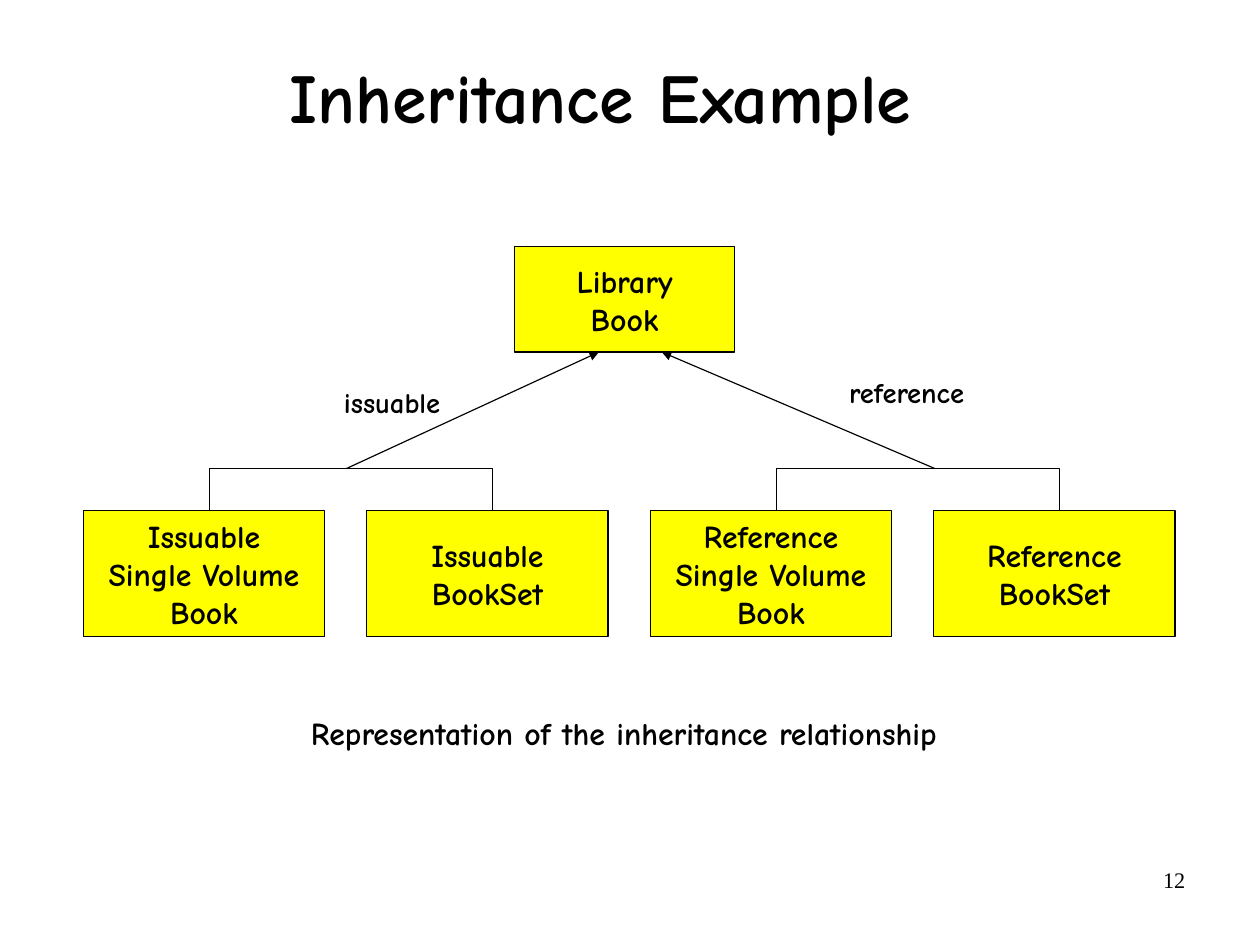
"""Build the inheritance example slide."""
from lxml import etree
from pptx import Presentation
from pptx.dml.color import RGBColor
from pptx.enum.shapes import MSO_CONNECTOR, MSO_SHAPE
from pptx.enum.text import MSO_ANCHOR, PP_ALIGN
from pptx.oxml.ns import qn
from pptx.util import Cm, Inches, Pt

LEFT, CENTER, RIGHT = PP_ALIGN.LEFT, PP_ALIGN.CENTER, PP_ALIGN.RIGHT
TOP, MIDDLE = MSO_ANCHOR.TOP, MSO_ANCHOR.MIDDLE
RECT, STRAIGHT = MSO_SHAPE.RECTANGLE, MSO_CONNECTOR.STRAIGHT

BLACK, YELLOW = "000000", "FFFF00"
COMIC = "Comic Neue"

TITLE = "Inheritance Example"
PARENT = ["Library", "Book"]
CHILDREN = [
    ["Issuable", "Single Volume", "Book"],
    ["Issuable", "BookSet"],
    ["Reference", "Single Volume", "Book"],
    ["Reference", "BookSet"],
]
ARROWS = [((3.03, 4.1), (5.24, 3.08)), ((8.18, 4.1), (5.79, 3.08))]
TEXTS = [
    ("issuable", (3.01, 3.37, 0.9, 0.3), LEFT, TOP, {"size": Pt(18)}),
    ("reference", (7.43, 3.28, 1.08, 0.3), LEFT, TOP, {"size": Pt(18)}),
    ("Representation of the inheritance relationship",
     (2.71, 6.21, 5.5, 0.4), CENTER, MIDDLE, {}),
    ("12", (7.9, 7.58, 2.47, 0.47), RIGHT, TOP,
     {"size": Pt(14), "name": "Times New Roman", "bold": False}),
]

CHILD_LEFT, CHILD_TOP, CHILD_W, CHILD_H = 0.73, 4.47, 2.11, 1.1
CHILD_STEP, BRACKET_TOP = 2.48, 4.1


def color(value):
    return RGBColor.from_string(value)


def set_line(s):
    s.line.color.rgb = color(BLACK)
    s.line.width = Pt(0.75)


def write(s, lines, align=CENTER, anchor=MIDDLE, **font):
    tf = s.text_frame
    frame = {"word_wrap": True, "vertical_anchor": anchor, "margin_left": 0,
             "margin_right": 0, "margin_top": 0, "margin_bottom": 0}
    for key, value in frame.items():
        setattr(tf, key, value)
    style = {"name": COMIC, "size": Pt(20), "bold": True, **font}
    for i, line in enumerate(lines):
        p = tf.add_paragraph() if i else tf.paragraphs[0]
        p.alignment = align
        r = p.add_run()
        r.text = line
        for key, value in style.items():
            setattr(r.font, key, value)
        r.font.color.rgb = color(BLACK)


def add_box(shapes, lines, at):
    s = shapes.add_shape(RECT, *map(Inches, at))
    s.shadow.inherit = False
    s.fill.solid()
    s.fill.fore_color.rgb = color(YELLOW)
    set_line(s)
    write(s, lines)


def add_bracket(shapes, left, right):
    points = [(left, BRACKET_TOP), (right, BRACKET_TOP), (right, CHILD_TOP)]
    fb = shapes.build_freeform(Inches(left), Inches(CHILD_TOP))
    fb.add_line_segments([(Inches(x), Inches(y)) for x, y in points], close=False)
    s = fb.convert_to_shape()
    s.shadow.inherit = False
    s.fill.background()
    set_line(s)


def add_arrow(shapes, start, end):
    s = shapes.add_connector(STRAIGHT, *map(Inches, start + end))
    set_line(s)
    etree.SubElement(s.line._get_or_add_ln(), qn("a:tailEnd"), type="triangle")
    etree.SubElement(s._element.spPr, qn("a:effectLst"))


def main():
    prs = Presentation()
    prs.slide_width, prs.slide_height = Cm(28), Cm(21)
    shapes = prs.slides.add_slide(prs.slide_layouts[5]).shapes

    title = shapes.title
    title.left, title.top, title.width, title.height = map(
        Inches, (0.57, 0.19, 9.37, 1.37))
    write(title, [TITLE], size=Pt(44))
    title.text_frame.paragraphs[0].line_spacing = 0.94

    add_box(shapes, PARENT, (4.5, 2.16, 1.93, 0.92))
    lefts = [CHILD_LEFT + i * CHILD_STEP for i in range(len(CHILDREN))]
    for lines, left in zip(CHILDREN, lefts):
        add_box(shapes, lines, (left, CHILD_TOP, CHILD_W, CHILD_H))
    centers = [left + 1.1 for left in lefts]
    for left, right in zip(centers[::2], centers[1::2]):
        add_bracket(shapes, left, right)
    for start, end in ARROWS:
        add_arrow(shapes, start, end)
    for text, at, align, anchor, font in TEXTS:
        s = shapes.add_textbox(*map(Inches, at))
        write(s, [text], align, anchor, **font)

    prs.save("out.pptx")


if __name__ == "__main__":
    main()
